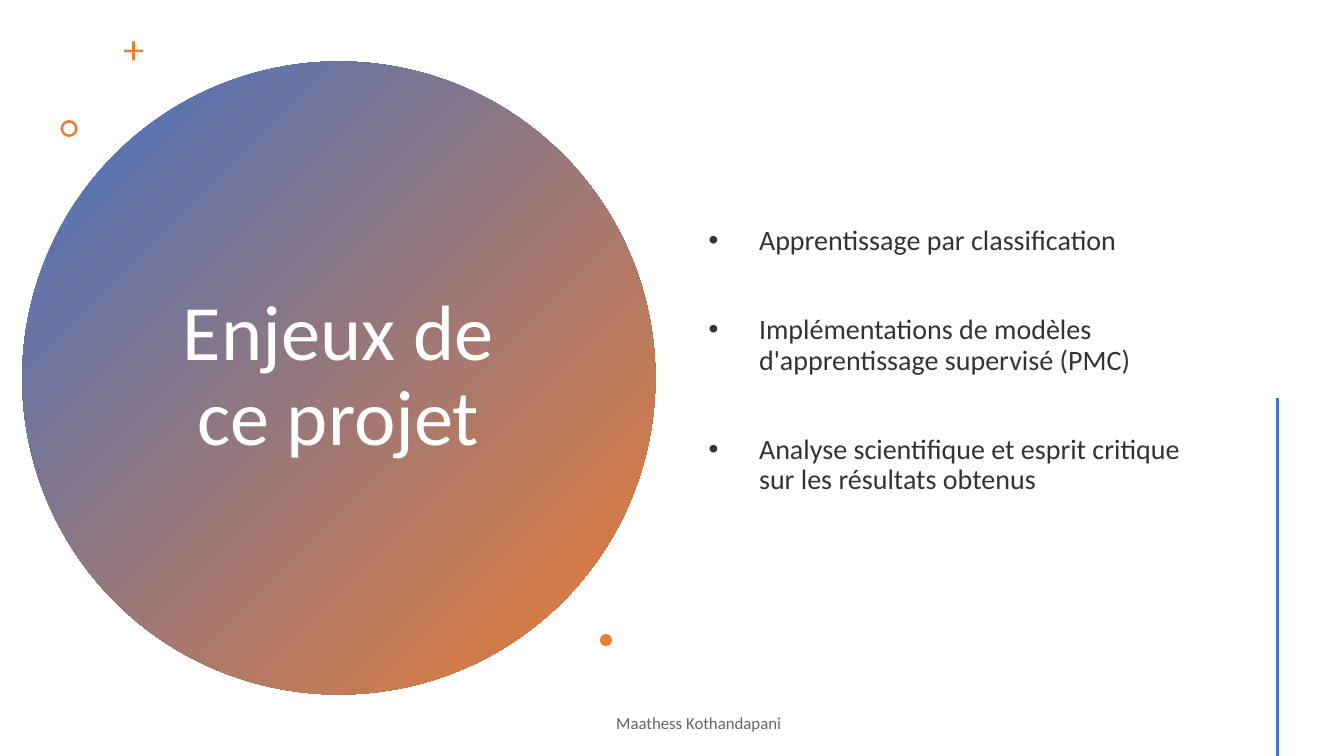
import pptx
import pptx.dml.color
import pptx.enum.shapes
import pptx.enum.text
import pptx.oxml
import pptx.oxml.ns
import pptx.util

Inches, Pt = pptx.util.Inches, pptx.util.Pt
SHAPE = pptx.enum.shapes.MSO_SHAPE
ALIGN = pptx.enum.text.PP_ALIGN
ANCHOR = pptx.enum.text.MSO_ANCHOR
qn = pptx.oxml.ns.qn

COLORS = {
    "blue": "4472C4",
    "orange": "ED7D31",
    "white": "FFFFFF",
    "body": "333333",
    "footer": "666666",
}
FONT = "Calibri"
ISSUES = [
    "Apprentissage par classification",
    "Implémentations de modèles d'apprentissage supervisé (PMC)",
    "Analyse scientifique et esprit critique sur les résultats obtenus",
]


def rgb(name):
    return pptx.dml.color.RGBColor.from_string(COLORS[name])


def add_bullet(paragraph, indent):
    properties = paragraph._p.get_or_add_pPr()
    properties.set("marL", str(Inches(indent)))
    properties.set("indent", str(-Inches(indent)))
    for tag, key, value in (("a:buFont", "typeface", "Arial"), ("a:buChar", "char", "•")):
        mark = pptx.oxml.parse_xml(f'<{tag} {pptx.oxml.ns.nsdecls("a")}/>')
        mark.set(key, value)
        properties.append(mark)


def add_text(slide, box, paragraphs, size, color, align=ALIGN.LEFT,
             anchor=ANCHOR.MIDDLE, gap=0, bullet_indent=None):
    frame = slide.shapes.add_textbox(*map(Inches, box)).text_frame
    frame.word_wrap = True
    frame.vertical_anchor = anchor
    for index, text in enumerate(paragraphs):
        paragraph = frame.add_paragraph() if index else frame.paragraphs[0]
        paragraph.alignment = align
        paragraph.line_spacing = 0.9
        paragraph.space_before = Pt(gap if index else 0)
        if bullet_indent:
            add_bullet(paragraph, bullet_indent)
        run = paragraph.add_run()
        run.text = text
        run.font.name, run.font.size = FONT, Pt(size)
        run.font.color.rgb = rgb(color)


def add_ornament(slide, kind, box, color="orange", adjustment=None):
    ornament = slide.shapes.add_shape(kind, *map(Inches, box))
    ornament.shadow.inherit = False
    ornament.line.fill.background()
    ornament.fill.solid()
    ornament.fill.fore_color.rgb = rgb(color)
    if adjustment is not None:
        ornament.adjustments[0] = adjustment
    return ornament


def title_disc(slide, left, top, diameter):
    # Gradient disc, blue at top left to orange at bottom right
    disc = add_ornament(slide, SHAPE.OVAL, (left, top, diameter, diameter))
    disc.fill.gradient()
    disc.fill.gradient_angle = 315
    for stop, color in zip(disc.fill.gradient_stops, ("blue", "orange")):
        stop.color.rgb = rgb(color)

    # Title
    add_text(slide, (left + 1.14, top + 0.8, 3.99, 4.67), ["Enjeux de ce projet"],
             size=56, color="white", align=ALIGN.CENTER)

    # Plus, ring and dot around the disc
    add_ornament(slide, SHAPE.CROSS, (left + 1.01, top - 0.2, 0.19, 0.19), adjustment=0.43)
    add_ornament(slide, SHAPE.DONUT, (left + 0.38, top + 0.58, 0.17, 0.17), adjustment=0.15)
    add_ornament(slide, SHAPE.OVAL, (left + 5.73, top + 5.68, 0.12, 0.12))


def issue_list(slide, left, top, width, height):
    add_text(slide, (left, top, width, height), ISSUES, size=20, color="body",
             anchor=ANCHOR.TOP, gap=42, bullet_indent=0.5)


def side_rule(slide, x, top, bottom):
    rule = slide.shapes.add_connector(
        pptx.enum.shapes.MSO_CONNECTOR.STRAIGHT, *map(Inches, (x, top, x, bottom)))
    rule.line.color.rgb = rgb("blue")
    rule.line.width = Pt(2)
    rule._element.spPr.append(
        pptx.oxml.parse_xml(f'<a:effectLst {pptx.oxml.ns.nsdecls("a")}/>'))


def footer(slide, left, top, width, height):
    add_text(slide, (left, top, width, height), ["Maathess Kothandapani"],
             size=12, color="footer", align=ALIGN.CENTER)


deck = pptx.Presentation()
deck.slide_width, deck.slide_height = Inches(13.33), Inches(7.5)
issues_slide = deck.slides.add_slide(deck.slide_layouts[6])

title_disc(issues_slide, 0.22, 0.61, 6.28)
issue_list(issues_slide, 6.93, 2.2, 5.22, 2.8)
side_rule(issues_slide, 12.67, 3.95, 7.5)
footer(issues_slide, 4.99, 6.98, 3.88, 0.4)

deck.save("out.pptx")
